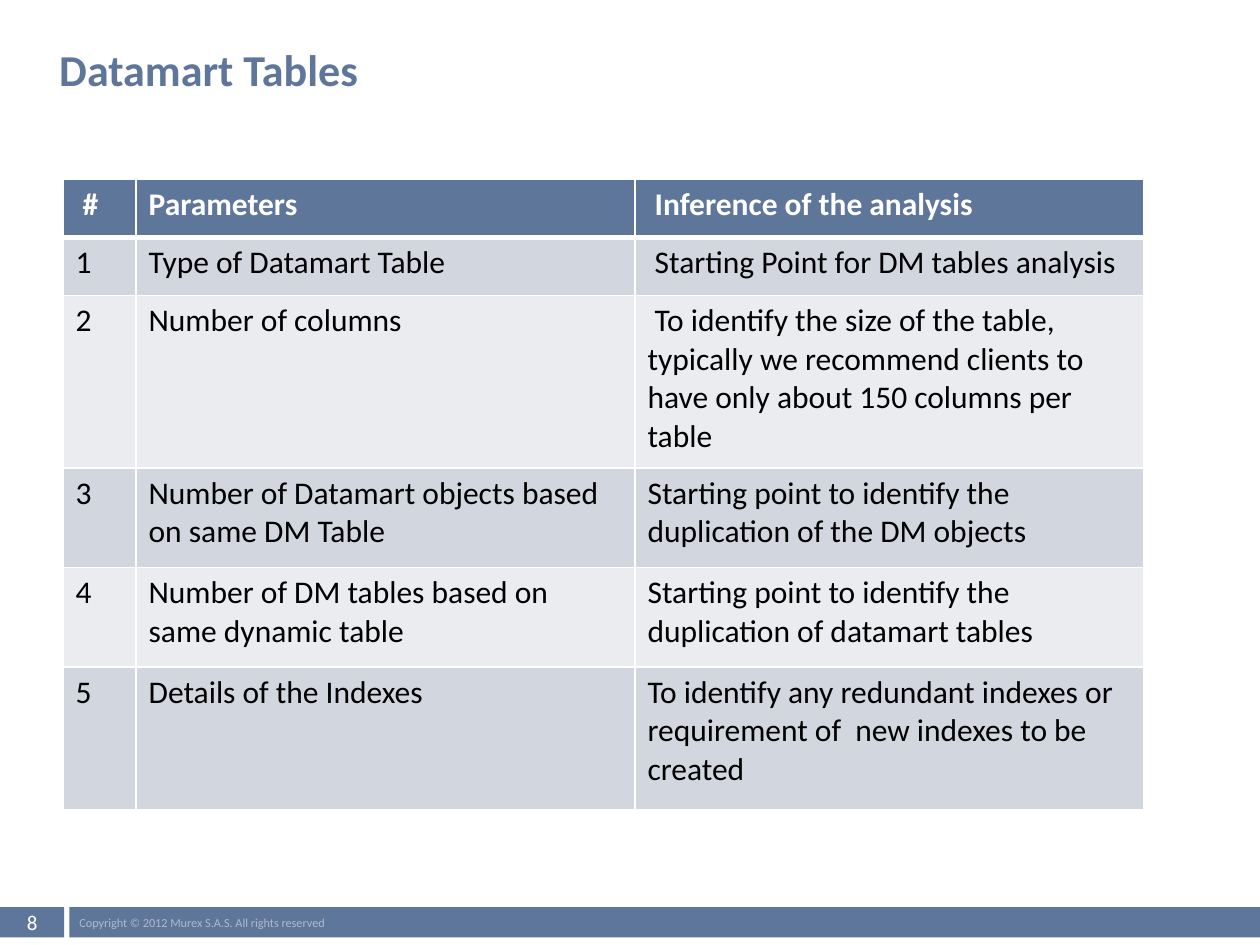
from typing import NamedTuple

from lxml.etree import SubElement
from pptx import Presentation
from pptx.dml.color import RGBColor
from pptx.enum.shapes import MSO_SHAPE as Shape
from pptx.enum.text import MSO_ANCHOR as Anchor, PP_ALIGN as Align
from pptx.oxml.ns import qn
from pptx.util import Inches, Pt

WIDE, HIGH = 10, 7.5
BLUE, WHITE, BLACK = "5F769B", "FFFFFF", "000000"
BANDS = ("D2D6DE", "EAECEF")
FONT = "Calibri"


class Box(NamedTuple):
    """A place on the slide, in inches."""
    left: float
    top: float
    width: float
    height: float

    def place(self) -> list:
        return [Inches(side) for side in self]


class Bar(NamedTuple):
    """A footer bar with its text."""
    left: float
    width: float
    text: str
    size: float
    color: str
    align: Align


class Row(NamedTuple):
    """A table row."""
    height: float
    cells: tuple


BAR_TOP, BAR_HIGH = 0.96 * HIGH, 0.24
BARS = (
    Bar(0.55, WIDE - 0.55, "Copyright © 2012 Murex S.A.S. All rights reserved",
        7, "AFBACD", Align.LEFT),
    Bar(0, 0.51, "8", 12, WHITE, Align.CENTER),
)
COLS = (0.58, 3.96, 4.04)
ROWS = (
    Row(0.46, (" #", "Parameters", " Inference of the analysis")),
    Row(0.46, ("1", "Type of Datamart Table",
               " Starting Point for DM tables analysis")),
    Row(1.37, ("2", "Number of columns",
               " To identify the size of the table,  typically we recommend "
               "clients to have only about 150 columns per table")),
    Row(0.79, ("3", "Number of Datamart objects based on same DM Table",
               "Starting point to identify the duplication of the DM objects")),
    Row(0.79, ("4", "Number of DM tables based on same dynamic table",
               "Starting point to identify the duplication of datamart tables")),
    Row(1.13, ("5", "Details of the Indexes",
               "To identify any redundant indexes or requirement of  new "
               "indexes to be created")),
)


def paint(item, color: str) -> None:
    item.fill.solid()
    item.fill.fore_color.rgb = RGBColor.from_string(color)


def write(frame, text: str, size: float, color: str, bold: bool = False,
          align: Align = Align.LEFT) -> None:
    frame.text = text
    para = frame.paragraphs[0]
    para.alignment = align
    font = para.font
    font.name, font.size, font.bold = FONT, Pt(size), bold
    font.color.rgb = RGBColor.from_string(color)


def inset(frame, side: float) -> None:
    frame.margin_left = frame.margin_right = Inches(side)
    frame.margin_top = frame.margin_bottom = 0


def border(cell, top: float, bottom: float) -> None:
    """Draw white lines around a cell; widths in points."""
    props = cell._tc.get_or_add_tcPr()
    sides = {"lnL": 1, "lnR": 1, "lnT": top, "lnB": bottom}
    for spot, (tag, width) in enumerate(sides.items()):
        line = SubElement(props, qn(f"a:{tag}"), w=str(Pt(width)))
        fill = SubElement(line, qn("a:solidFill"))
        SubElement(fill, qn("a:srgbClr"), val=WHITE)
        props.insert(spot, line)


def add_bar(slide, bar: Bar) -> None:
    box = Box(bar.left, BAR_TOP, bar.width, BAR_HIGH)
    shape = slide.shapes.add_shape(Shape.RECTANGLE, *box.place())
    shape.shadow.inherit = False
    shape.line.fill.background()
    paint(shape, bar.color if not bar.text else BLUE)
    frame = shape.text_frame
    inset(frame, 0.08)
    frame.word_wrap = False
    frame.vertical_anchor = Anchor.MIDDLE
    write(frame, bar.text, bar.size, bar.color, align=bar.align)


def add_title(slide, text: str, box: Box) -> None:
    title = slide.shapes.title
    title.left, title.top, title.width, title.height = box.place()
    frame = title.text_frame
    inset(frame, 0.04)
    frame.word_wrap = True
    frame.vertical_anchor = Anchor.TOP
    write(frame, text, 25.2, BLUE, bold=True)


def add_grid(slide, left: float, top: float) -> None:
    box = Box(left, top, sum(COLS), sum(row.height for row in ROWS))
    table = slide.shapes.add_table(len(ROWS), len(COLS), *box.place()).table
    for col, width in zip(table.columns, COLS):
        col.width = Inches(width)
    for i, row in enumerate(ROWS):
        table.rows[i].height = Inches(row.height)
        head = i == 0
        for j, text in enumerate(row.cells):
            cell = table.cell(i, j)
            paint(cell, BLUE if head else BANDS[(i - 1) % 2])
            border(cell, 3 if i == 1 else 1, 3 if head else 1)
            write(cell.text_frame, text, 18, WHITE if head else BLACK, head)


def main() -> None:
    deck = Presentation()
    deck.slide_width, deck.slide_height = Inches(WIDE), Inches(HIGH)
    slide = deck.slides.add_slide(deck.slide_layouts[5])

    # Footer
    for bar in BARS:
        add_bar(slide, bar)

    # Title and table
    add_title(slide, "Datamart Tables", Box(0.43, 0.34, 7.57, 0.58))
    add_grid(slide, 0.05 * WIDE, 0.19 * HIGH)

    deck.save("out.pptx")


if __name__ == "__main__":
    main()
